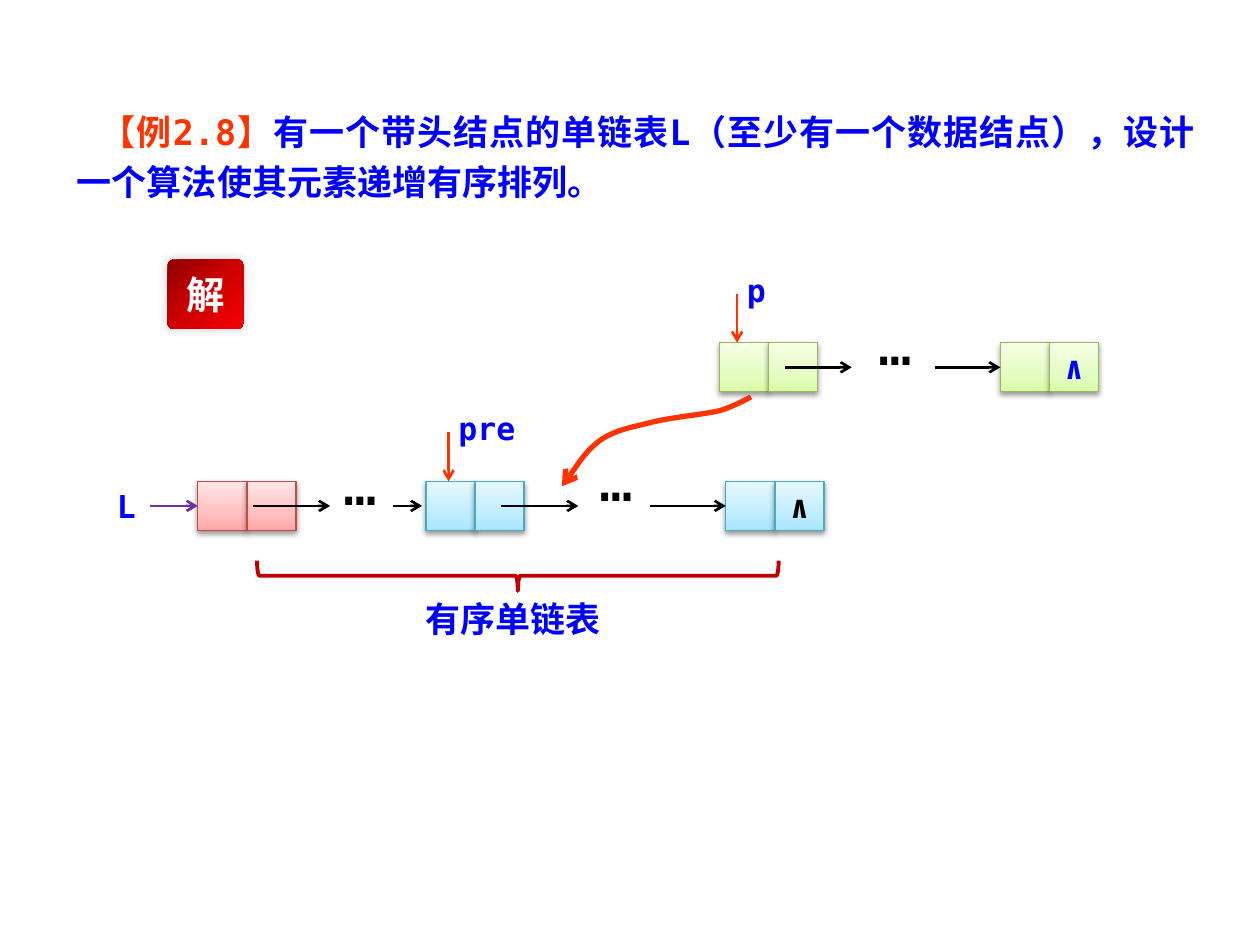
from lxml.etree import SubElement
from pptx import Presentation
from pptx.dml.color import RGBColor
from pptx.enum.shapes import MSO_CONNECTOR, MSO_SHAPE
from pptx.enum.text import MSO_ANCHOR, MSO_AUTO_SIZE, PP_ALIGN
from pptx.oxml.ns import qn
from pptx.util import Inches, Pt

MONO, CJK = "DejaVu Sans Mono", "Noto Sans CJK SC"

BLUE = RGBColor(0x00, 0x00, 0xFF)
ORANGE = RGBColor(0xFF, 0x33, 0x00)
PURPLE = RGBColor(0x70, 0x30, 0xA0)
DARK_RED = RGBColor(0xC0, 0x00, 0x00)
BLACK = RGBColor(0x00, 0x00, 0x00)
WHITE = RGBColor(0xFF, 0xFF, 0xFF)


def gradient(*stops):
    return [(position, RGBColor.from_string(colour)) for position, colour in stops]


# Each node palette: gradient stops from bottom to top, and the outline
RED_NODE = gradient((0, "FFA6A5"), (35, "FFC0BF"), (100, "FFE7E7")), RGBColor(0xBF, 0x4C, 0x48)
BLUE_NODE = gradient((0, "A7E6FF"), (35, "C1EDFF"), (100, "E7F8FF")), RGBColor(0x46, 0xAA, 0xC5)
GREEN_NODE = gradient((0, "DAFDA7"), (35, "E4FCC2"), (100, "F5FFE7")), RGBColor(0x98, 0xB9, 0x55)
BUTTON_STOPS = gradient((0, "8F0000"), (50, "CF0001"), (100, "F60004"))

CELL = 0.39
TOP_ROW, LOW_ROW = 2.72, 3.82
TOP_LINK, LOW_LINK = TOP_ROW + CELL / 2, LOW_ROW + CELL / 2


def box(left, top, width, height):
    return [Inches(value) for value in (left, top, width, height)]


def add_run(paragraph, text, size, colour, bold=True, latin=MONO, east_asian=CJK):
    run = paragraph.add_run()
    run.text = text
    font = run.font
    font.size, font.bold, font.name = Pt(size), bold, latin
    font.color.rgb = colour
    SubElement(run._r.get_or_add_rPr(), qn("a:ea"), typeface=east_asian)


def add_label(slide, text, left, top, width, height, size=18, align=PP_ALIGN.LEFT):
    label = slide.shapes.add_textbox(*box(left, top, width, height))
    label.text_frame.word_wrap = True
    paragraph = label.text_frame.paragraphs[0]
    paragraph.alignment = align
    add_run(paragraph, text, size, BLUE)


def add_ellipsis(slide, left, top):
    dots = slide.shapes.add_textbox(*box(left, top, 0.45, 0.38))
    dots.text_frame.word_wrap = True
    paragraph = dots.text_frame.paragraphs[0]
    paragraph.line_spacing = Pt(16)
    add_run(paragraph, "…", 32, BLACK, bold=False, east_asian=MONO)


def set_gradient(shape, stops, angle):
    """Fill with any number of stops; the angle is clockwise."""
    shape.fill.gradient()
    gradient_fill = shape._element.spPr.find(qn("a:gradFill"))
    stop_list = gradient_fill.find(qn("a:gsLst"))
    for stop in list(stop_list):
        stop_list.remove(stop)
    for position, colour in stops:
        stop = SubElement(stop_list, qn("a:gs"), pos=str(position * 1000))
        SubElement(stop, qn("a:srgbClr"), val=str(colour))
    gradient_fill.find(qn("a:lin")).set("ang", str(angle * 60000))


def set_shadow(shape, alpha, blur, distance, angle):
    shape.shadow.inherit = False
    effects = shape._element.spPr.find(qn("a:effectLst"))
    shadow = SubElement(effects, qn("a:outerShdw"), blurRad=str(Pt(blur)),
                        dist=str(Pt(distance)), dir=str(angle * 60000), rotWithShape="0")
    colour = SubElement(shadow, qn("a:srgbClr"), val=str(BLACK))
    SubElement(colour, qn("a:alpha"), val=str(alpha * 1000))


def write_centred(shape, text, size, colour, **fonts):
    frame = shape.text_frame
    frame.word_wrap = False
    frame.vertical_anchor = MSO_ANCHOR.MIDDLE
    paragraph = frame.paragraphs[0]
    paragraph.alignment = PP_ALIGN.CENTER
    add_run(paragraph, text, size, colour, **fonts)


def add_node(slide, left, top, palette, end_colour=None):
    """Draw a data cell and a pointer cell; an end colour marks the null pointer."""
    stops, outline = palette
    cells = []
    for column in range(2):
        cell = slide.shapes.add_shape(
            MSO_SHAPE.RECTANGLE, *box(left + column * CELL, top, CELL, CELL))
        set_gradient(cell, stops, 270)
        cell.line.color.rgb, cell.line.width = outline, Pt(0.75)
        set_shadow(cell, 38, 3.1, 1.6, 90)
        cells.append(cell)
    if end_colour is not None:
        write_centred(cells[1], "∧", 18, end_colour, east_asian=MONO)
    return cells[0]


def style_arrow(shape, colour, width):
    shape.line.color.rgb, shape.line.width = colour, Pt(width)
    properties = shape._element.spPr
    SubElement(properties.find(qn("a:ln")), qn("a:tailEnd"), type="arrow")
    if properties.find(qn("a:effectLst")) is None:
        SubElement(properties, qn("a:effectLst"))


def add_arrow(slide, start, end, colour=BLACK, target=None):
    """Draw a straight arrow, joined to the left side of the target if there is one."""
    arrow = slide.shapes.add_connector(
        MSO_CONNECTOR.STRAIGHT, *box(*start, *end))
    if target is not None:
        arrow.end_connect(target, 1)
    style_arrow(arrow, colour, 1.5)


def add_curved_arrow(slide, points, colour, width):
    """Draw a Bézier arrow: a start, then three points for each segment."""
    start, *others = [(Inches(x), Inches(y)) for x, y in points]
    builder = slide.shapes.build_freeform(*start)
    builder.add_line_segments(others, close=False)
    curve = builder.convert_to_shape()
    outline = curve._element.spPr.find(".//" + qn("a:path"))
    lines = outline.findall(qn("a:lnTo"))
    for first in range(0, len(lines), 3):
        segment = SubElement(outline, qn("a:cubicBezTo"))
        for line in lines[first:first + 3]:
            segment.append(line[0])
            outline.remove(line)
    curve.fill.background()
    curve.shadow.inherit = False
    style_arrow(curve, colour, width)


def add_problem(slide):
    title = slide.shapes.title
    title.left, title.top, title.width, title.height = box(0.51, 0.76, 9.07, 0.87)
    frame = title.text_frame
    frame.word_wrap = True
    frame.auto_size = MSO_AUTO_SIZE.NONE
    frame.vertical_anchor = MSO_ANCHOR.TOP
    paragraph = frame.paragraphs[0]
    paragraph.alignment = PP_ALIGN.JUSTIFY
    paragraph.line_spacing = 1.2
    paragraph.space_before = Pt(0)
    paragraph._p.get_or_add_pPr().set("indent", str(Inches(0.19)))
    add_run(paragraph, "【例2.8】", 20, ORANGE)
    add_run(paragraph, "有一个带头结点的单链表L（至少有一个数据结点），"
            "设计一个算法使其元素递增有序排列。", 20, BLUE)


def add_button(slide):
    button = slide.shapes.add_shape(MSO_SHAPE.ROUNDED_RECTANGLE, *box(1.33, 2.06, 0.6, 0.55))
    button.adjustments[0] = 0.08
    set_gradient(button, BUTTON_STOPS, 45)
    button.line.fill.background()
    set_shadow(button, 20, 6, 0, 225)
    write_centred(button, "解", 22, WHITE, latin=CJK)


def add_brace(slide):
    brace = slide.shapes.add_shape(MSO_SHAPE.RIGHT_BRACE, *box(3.99, 2.5, 0.24, 4.14))
    brace.rotation = 90
    brace.fill.background()
    brace.line.color.rgb, brace.line.width = DARK_RED, Pt(2.25)
    brace.shadow.inherit = False


def main():
    presentation = Presentation()
    presentation.slide_width, presentation.slide_height = Inches(10), Inches(7.5)
    slide = presentation.slides.add_slide(presentation.slide_layouts[5])
    add_problem(slide)
    add_button(slide)

    head = add_node(slide, 1.57, LOW_ROW, RED_NODE)
    add_node(slide, 3.38, LOW_ROW, BLUE_NODE)
    sorted_end = add_node(slide, 5.76, LOW_ROW, BLUE_NODE, BLACK)
    add_node(slide, 5.71, TOP_ROW, GREEN_NODE)
    rest_end = add_node(slide, 7.94, TOP_ROW, GREEN_NODE, BLUE)

    add_arrow(slide, (1.19, LOW_LINK), (1.57, LOW_LINK), PURPLE, head)
    add_arrow(slide, (5.16, LOW_LINK), (5.76, LOW_LINK), target=sorted_end)
    add_arrow(slide, (7.42, TOP_LINK), (7.94, TOP_LINK), target=rest_end)
    for left, right, level in ((2.01, 2.62, LOW_LINK), (3.12, 3.35, LOW_LINK),
                               (3.98, 4.59, LOW_LINK), (6.23, 6.76, TOP_LINK)):
        add_arrow(slide, (left, level), (right, level))
    for x, row in ((3.56, LOW_ROW), (5.85, TOP_ROW)):
        add_arrow(slide, (x, row - 0.39), (x, row), ORANGE)
    add_curved_arrow(slide, [
        (5.96, 3.15),
        (5.96, 3.15), (5.84, 3.22), (5.71, 3.26),
        (5.58, 3.29), (5.34, 3.31), (5.18, 3.35),
        (5.02, 3.39), (4.89, 3.41), (4.77, 3.49),
        (4.65, 3.58), (4.52, 3.78), (4.46, 3.86)], ORANGE, 3)

    for left, top in ((2.63, 3.83), (4.66, 3.8), (6.87, 2.72)):
        add_ellipsis(slide, left, top)
    add_label(slide, "L", 0.83, 3.82, 0.61, 0.4)
    add_label(slide, "p", 5.83, 2.1, 0.39, 0.4)
    add_label(slide, "pre", 3.54, 3.2, 0.77, 0.4)
    add_brace(slide)
    add_label(slide, "有序单链表", 3.06, 4.69, 2.03, 0.44, 20, PP_ALIGN.CENTER)

    presentation.save("out.pptx")


if __name__ == "__main__":
    main()
